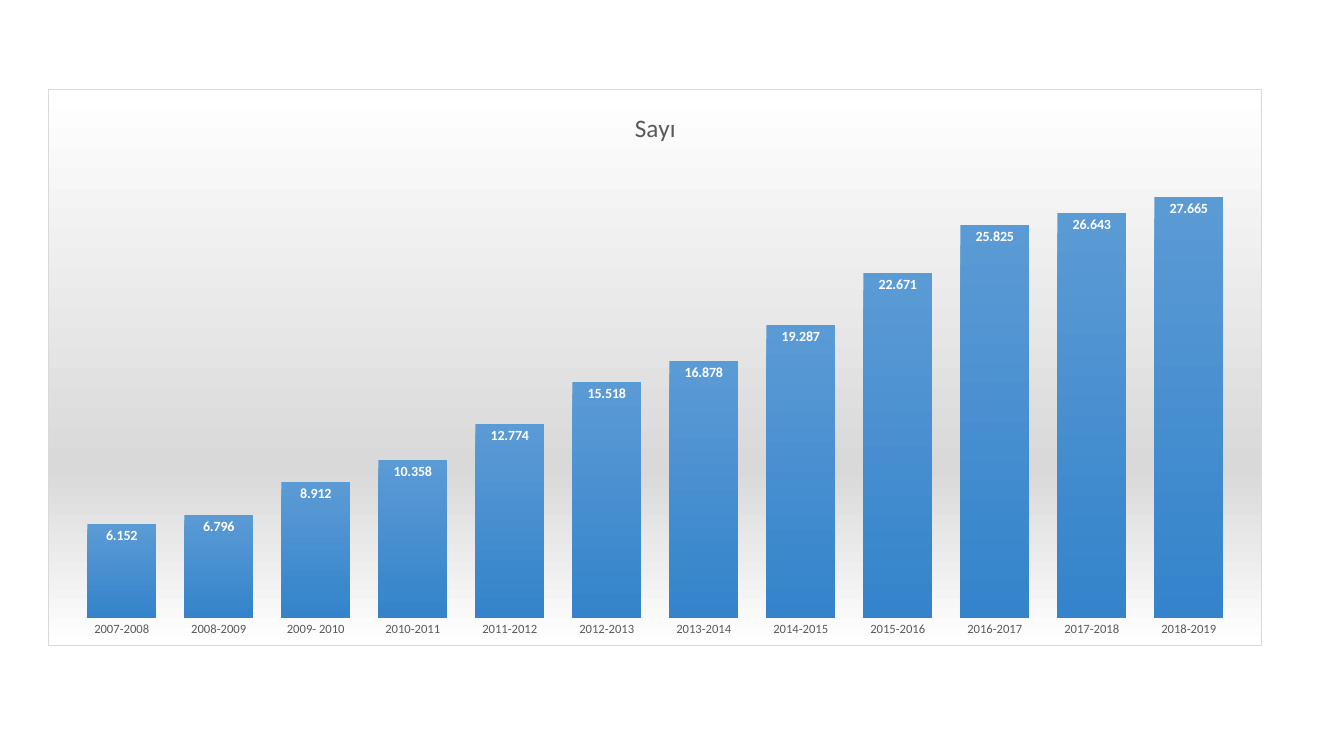
from lxml import etree
from pptx import Presentation
from pptx.chart.data import CategoryChartData
from pptx.dml.color import RGBColor
from pptx.enum.chart import XL_CHART_TYPE as CHART, XL_LABEL_POSITION as LABEL_POS
from pptx.enum.chart import XL_TICK_LABEL_POSITION as TICK_LABELS, XL_TICK_MARK as TICK
from pptx.oxml import parse_xml
from pptx.oxml.ns import nsdecls, qn
from pptx.util import Pt

FONT = "Calibri"
SAYI = {
    "2007-2008": 6.152, "2008-2009": 6.796, "2009- 2010": 8.912,
    "2010-2011": 10.358, "2011-2012": 12.774, "2012-2013": 15.518,
    "2013-2014": 16.878, "2014-2015": 19.287, "2015-2016": 22.671,
    "2016-2017": 25.825, "2017-2018": 26.643, "2018-2019": 27.665,
}


def rgb(color):
    return RGBColor.from_string(color)


def format_font(font, size, color, bold=False):
    font.name = FONT
    font.size = Pt(size)
    font.bold = bold
    font.color.rgb = rgb(color)


def write(tf, text, **fmt):
    r = tf.paragraphs[0].add_run()
    r.text = text
    format_font(r.font, **fmt)


def gradient(*stops):
    """Return a top-to-bottom gradient fill from (percent, colour) stops."""
    gs = "".join(f'<a:gs pos="{pos * 1000}"><a:srgbClr val="{color}"/></a:gs>'
                 for pos, color in stops)
    return parse_xml(f'<a:gradFill {nsdecls("a")} rotWithShape="1"><a:gsLst>{gs}</a:gsLst>'
                     '<a:lin ang="5400000" scaled="0"/></a:gradFill>')


def fill_chart_area(chart):
    area = parse_xml(f'<c:spPr {nsdecls("c", "a")}><a:ln w="{Pt(0.75)}"><a:solidFill>'
                     '<a:srgbClr val="D9D9D9"/></a:solidFill></a:ln></c:spPr>')
    area.insert(0, gradient((0, "FFFFFF"), (68, "D9D9D9"), (100, "FFFFFF")))
    chart.element.find(qn("c:chart")).addnext(area)


def place_plot(chart, x, y, w, h):
    """Place the inner plot area, in fractions of the chart."""
    plot_area = chart.element.find(qn("c:chart")).find(qn("c:plotArea"))
    for old in plot_area.findall(qn("c:layout")):
        plot_area.remove(old)
    layout = parse_xml(f'<c:layout {nsdecls("c")}><c:manualLayout/></c:layout>')
    settings = {"layoutTarget": "inner", "xMode": "edge", "yMode": "edge",
                "x": x, "y": y, "w": w, "h": h}
    for name, val in settings.items():
        etree.SubElement(layout[0], qn(f"c:{name}")).set("val", str(val))
    plot_area.insert(0, layout)


def style_axes(chart):
    cat_axis = chart.category_axis
    cat_axis.major_tick_mark = cat_axis.minor_tick_mark = TICK.NONE
    cat_axis.tick_label_position = TICK_LABELS.NEXT_TO_AXIS
    cat_axis.format.line.fill.background()
    format_font(cat_axis.tick_labels.font, size=9, color="595959")
    val_axis = chart.value_axis
    val_axis.minimum_scale, val_axis.maximum_scale = 0, 30
    val_axis.major_tick_mark = val_axis.minor_tick_mark = TICK.NONE
    val_axis.has_major_gridlines = False
    val_axis.visible = False


def style_columns(plot):
    plot.gap_width = 41
    plot.vary_by_categories = False
    series = plot.series[0]
    series.invert_if_negative = False
    series.format.fill.background()
    sp_pr = series.format.fill._xPr
    sp_pr.replace(sp_pr.find(qn("a:noFill")), gradient((0, "5B9BD5"), (100, "3483CB")))
    labels = series.data_labels
    labels.show_value = True
    labels.position = LABEL_POS.INSIDE_END
    labels.number_format = "0.000"
    labels.number_format_is_linked = False
    format_font(labels.font, size=10, color="FFFFFF", bold=True)


def add_column_chart(slide, left, top, width, height):
    data = CategoryChartData(number_format="0.000")
    data.categories = list(SAYI)
    data.add_series("Sayı", list(SAYI.values()))
    chart = slide.shapes.add_chart(CHART.COLUMN_CLUSTERED, Pt(left), Pt(top),
                                   Pt(width), Pt(height), data).chart
    format_font(chart.font, size=10, color="000000")
    chart.has_legend = False
    chart.has_title = True
    write(chart.chart_title.text_frame, "Sayı", size=18, color="595959")
    chart.chart_title.include_in_layout = False
    fill_chart_area(chart)
    place_plot(chart, x=0.02, y=0.13, w=0.96, h=0.82)
    style_axes(chart)
    style_columns(chart.plots[0])


def main():
    prs = Presentation()
    prs.slide_width, prs.slide_height = Pt(960), Pt(540)
    slide = prs.slides.add_slide(prs.slide_layouts[6])
    add_column_chart(slide, left=34.6, top=63.7, width=866.9, height=398)
    prs.save("out.pptx")


if __name__ == "__main__":
    main()
